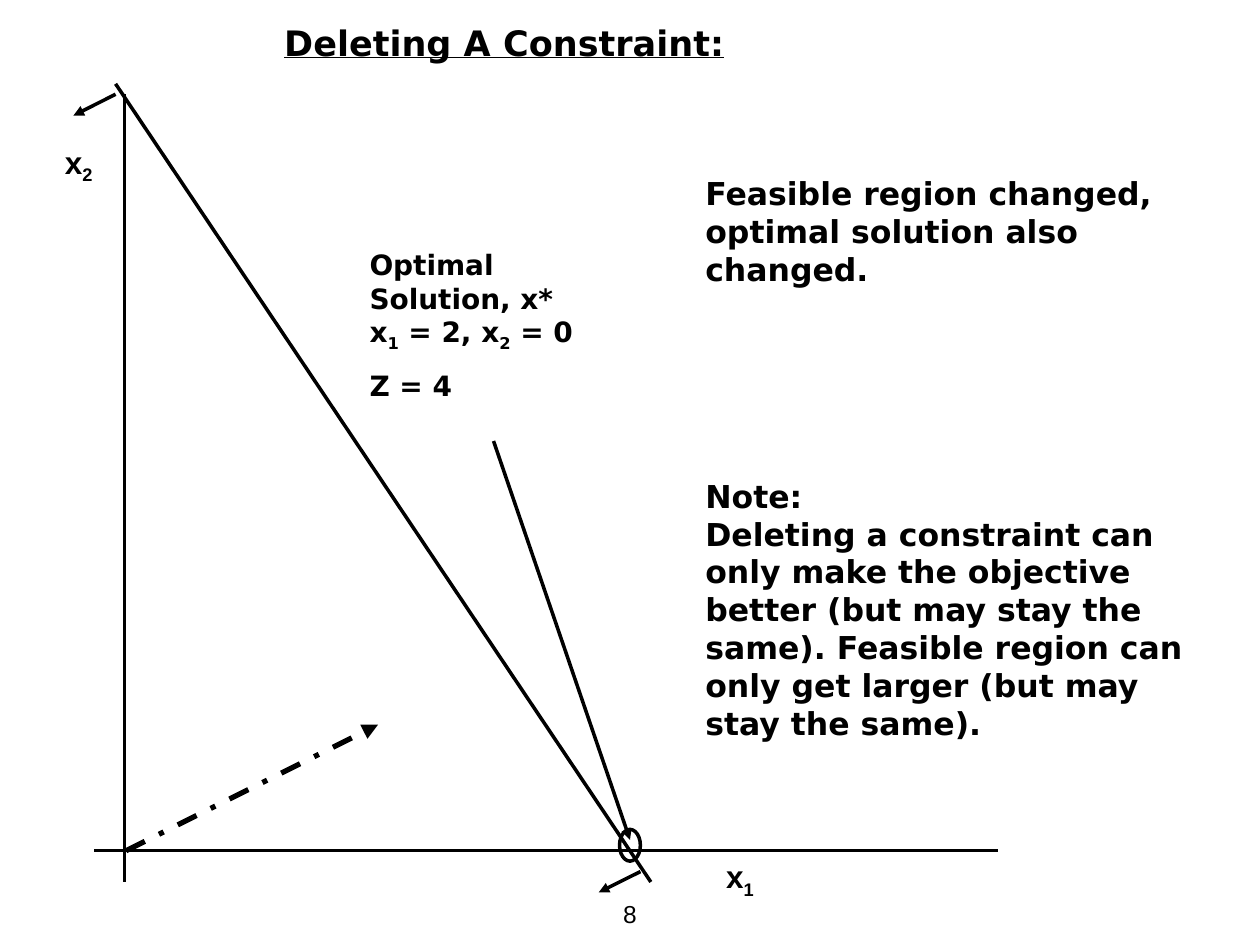
from pptx import Presentation
from pptx.dml.color import RGBColor
from pptx.enum.dml import MSO_LINE
from pptx.enum.shapes import MSO_CONNECTOR, MSO_SHAPE
from pptx.enum.text import MSO_ANCHOR, MSO_AUTO_SIZE, PP_ALIGN
from pptx.oxml.ns import qn
from pptx.util import Cm, Pt
from lxml.etree import SubElement

BLACK = RGBColor(0, 0, 0)
SANS, ARIAL = "DejaVu Sans", "Arial"


class Diagram:
    """Holds the current slide and its black-on-white style."""

    def __init__(self, prs):
        self.s = prs.slides.add_slide(prs.slide_layouts[5])

    def fill_text(self, sp, paragraphs, font, size, align=PP_ALIGN.LEFT, **extra):
        """Fill a frame from (text, space before); odd parts between bars are subscripts."""
        tf = sp.text_frame
        tf.word_wrap = True
        tf.auto_size = MSO_AUTO_SIZE.NONE
        tf.vertical_anchor = MSO_ANCHOR.TOP
        style = {"name": font, "size": Pt(size), "bold": True, **extra}
        for i, (text, before) in enumerate(paragraphs):
            p = tf.add_paragraph() if i else tf.paragraphs[0]
            p.alignment = align
            p.space_before = Pt(before)
            for j, part in enumerate(text.split("|")):
                if not part:
                    continue
                r = p.add_run()
                r.text = part
                for key, value in style.items():
                    setattr(r.font, key, value)
                r.font.color.rgb = BLACK
                if j % 2:
                    r._r.get_or_add_rPr().set("baseline", "-25000")

    def title(self, text, x, y, w, h, margin_right):
        sp = self.s.shapes.title
        sp.left, sp.top, sp.width, sp.height = Cm(x), Cm(y), Cm(w), Cm(h)
        sp.text_frame.margin_right = Cm(margin_right)
        self.fill_text(sp, [(text, 0)], SANS, 20, PP_ALIGN.CENTER, underline=True)

    def text(self, x, y, w, h, paragraphs, font, size, **style):
        sp = self.s.shapes.add_textbox(Cm(x), Cm(y), Cm(w), Cm(h))
        self.fill_text(sp, paragraphs, font, size, **style)

    def line(self, x1, y1, x2, y2, arrow=False, width=2, dash=None):
        sp = self.s.shapes.add_connector(
            MSO_CONNECTOR.STRAIGHT, Cm(x1), Cm(y1), Cm(x2), Cm(y2))
        sp.line.color.rgb = BLACK
        sp.line.width = Pt(width)
        if dash:
            sp.line.dash_style = dash
        spPr = sp._element.spPr
        if arrow:
            SubElement(spPr.find(qn("a:ln")), qn("a:tailEnd"), type="triangle")
        SubElement(spPr, qn("a:effectLst"))

    def ring(self, x, y, w, h):
        sp = self.s.shapes.add_shape(MSO_SHAPE.OVAL, Cm(x), Cm(y), Cm(w), Cm(h))
        sp.shadow.inherit = False
        sp.fill.background()
        sp.line.color.rgb = BLACK
        sp.line.width = Pt(2)


def main():
    prs = Presentation()
    prs.slide_width, prs.slide_height = Cm(25.4), Cm(19.05)
    d = Diagram(prs)

    # Title, centred left of the slide's middle
    d.title("Deleting A Constraint:", 0, 0.3, 24.35, 1.1, margin_right=4.27)

    # Explanation
    d.text(13.97, 3.39, 10.16, 11.7, [
        ("Feasible region changed, optimal solution also changed.", 0),
        ("Note:", 108),
        ("Deleting a constraint can only make the objective better (but may "
         "stay the same). Feasible region can only get larger (but may stay "
         "the same).", 0),
    ], SANS, 18)

    # Axes and their labels
    d.line(2.51, 1.9, 2.51, 17.78)
    d.line(1.9, 17.15, 20.11, 17.15)
    d.text(1.06, 2.75, 1.27, 1.02, [("x|2|", 0)], ARIAL, 18)
    d.text(14.39, 17.15, 1.69, 1.02, [("x|1|", 0)], ARIAL, 18)

    # Constraint, with arrows to its feasible side
    d.line(2.33, 1.69, 13.12, 17.78)
    d.line(12.91, 17.57, 12.07, 17.99, arrow=True)
    d.line(2.33, 1.9, 1.48, 2.33, arrow=True)

    # Objective direction
    d.line(2.54, 17.15, 7.62, 14.61, arrow=True, width=3, dash=MSO_LINE.DASH_DOT)

    # Optimal solution
    d.line(9.95, 8.89, 12.7, 16.93, arrow=True)
    d.text(7.2, 4.87, 6.35, 3.3, [
        ("Optimal", 0),
        ("Solution, x*", 0),
        ("x|1| = 2, x|2| = 0", 0),
        ("Z = 4", 9),
    ], SANS, 16)
    d.ring(12.49, 16.72, 0.42, 0.64)

    # Page number
    d.text(8.68, 17.99, 8.04, 0.69, [("8", 0)], ARIAL, 14,
           align=PP_ALIGN.CENTER, bold=False)

    prs.save("out.pptx")


if __name__ == "__main__":
    main()
